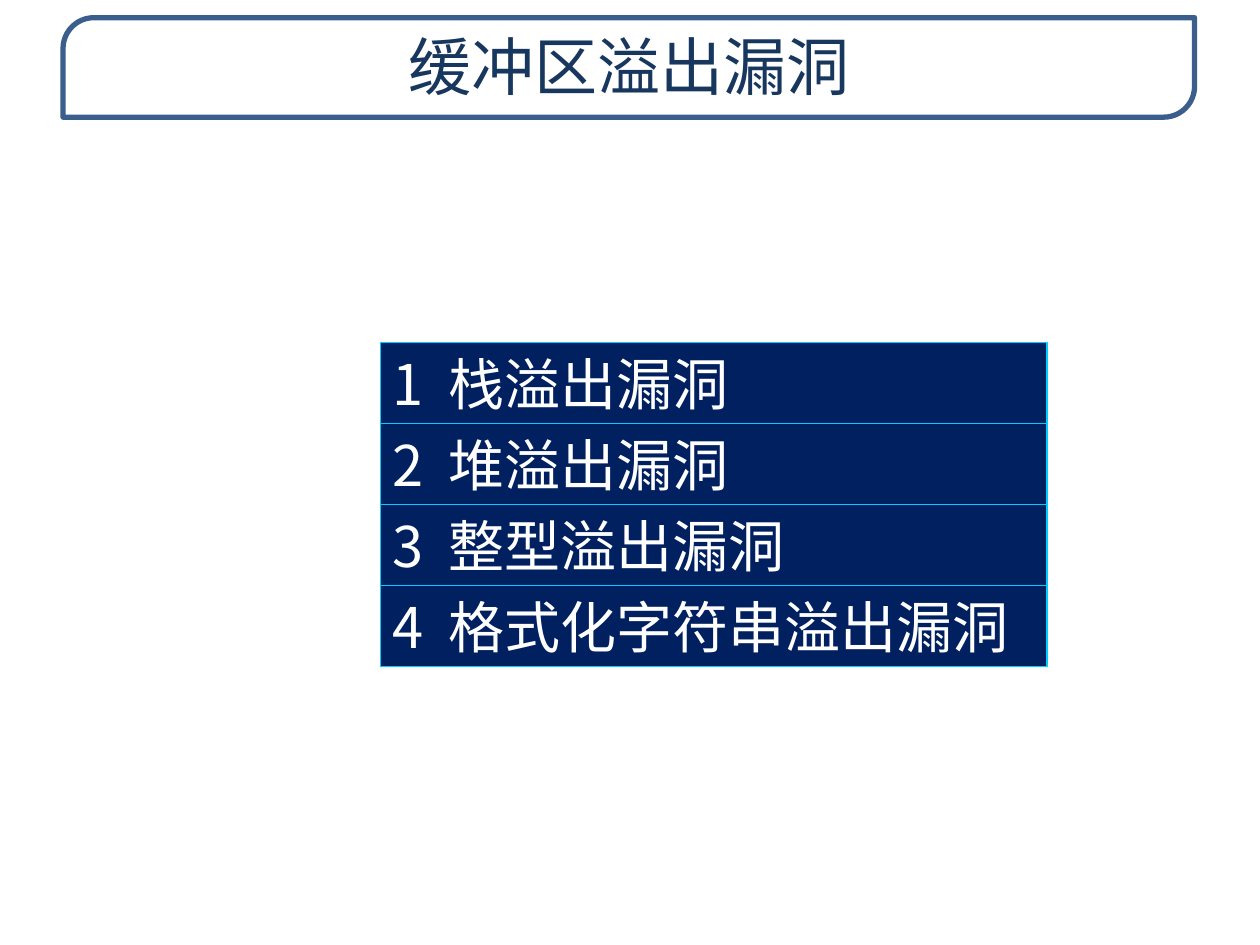
from lxml import etree
from pptx import Presentation
from pptx.dml.color import RGBColor
from pptx.enum.shapes import MSO_SHAPE
from pptx.enum.text import MSO_ANCHOR, PP_ALIGN
from pptx.oxml.ns import qn
from pptx.util import Pt

BOX = MSO_SHAPE.RECTANGLE
ROUND = MSO_SHAPE.ROUND_2_DIAG_RECTANGLE
MIDDLE = MSO_ANCHOR.MIDDLE
LEFT, CENTER = PP_ALIGN.LEFT, PP_ALIGN.CENTER
WHITE = RGBColor(0xFF, 0xFF, 0xFF)
NAVY = RGBColor(0x00, 0x20, 0x60)
CYAN = RGBColor(0x00, 0xCC, 0xFF)
STEEL = RGBColor(0x3A, 0x5F, 0x8C)
INK = RGBColor(0x17, 0x37, 0x5E)
FONT = "Noto Sans CJK SC"
TOPICS = ["栈溢出漏洞", "堆溢出漏洞", "整型溢出漏洞", "格式化字符串溢出漏洞"]
ROW_TOP, ROW_STEP = 195.8, 46.3


def add_panel(slide, kind, area, fill, edge, width):
    """Add a filled and outlined shape without a shadow."""
    panel = slide.shapes.add_shape(kind, *map(Pt, area))
    panel.shadow.inherit = False
    panel.fill.solid()
    panel.fill.fore_color.rgb = fill
    panel.line.color.rgb = edge
    panel.line.width = Pt(width)
    return panel


def set_text(shape, text, size, color, align):
    """Write one line of text, centred vertically, in the slide font."""
    frame = shape.text_frame
    frame.text = text
    frame.word_wrap = True
    frame.vertical_anchor = MIDDLE
    frame.margin_top = frame.margin_bottom = 0
    line = frame.paragraphs[0]
    line.alignment = align
    for run in line.runs:
        run.font.name = FONT
        run.font.size = Pt(size)
        run.font.color.rgb = color
        latin = run.font._element.find(qn("a:latin"))
        east = etree.Element(qn("a:ea"), typeface=FONT)
        latin.addnext(east)


def add_title(slide, text):
    """Set the title over its translucent rounded frame."""
    frame = add_panel(slide, ROUND, (36, 10.1, 646.6, 56.9), WHITE, STEEL, 3)
    frame.adjustments[0] = 0.31
    frame.adjustments[1] = 0
    color = frame.fill._xPr.find(qn("a:solidFill"))[0]
    etree.SubElement(color, qn("a:alpha"), val="85000")
    title = slide.shapes.title
    title.left, title.top = Pt(36.7), Pt(10.1)
    title.width, title.height = Pt(645.8), Pt(54.7)
    set_text(title, text, 36, INK, CENTER)
    title.element.addprevious(frame.element)


def add_topic(slide, index, topic):
    """Add a numbered topic row with a tab after its number."""
    area = (217.4, ROW_TOP + index * ROW_STEP, 380.9, ROW_STEP)
    row = add_panel(slide, BOX, area, NAVY, CYAN, 0.75)
    set_text(row, f"{index + 1}\t{topic}", 32, WHITE, LEFT)
    props = row.text_frame.paragraphs[0]._p.get_or_add_pPr()
    tabs = etree.SubElement(props, qn("a:tabLst"))
    etree.SubElement(tabs, qn("a:tab"), pos=str(Pt(32)), algn="l")


def main():
    """Build and save the slide."""
    deck = Presentation()
    deck.slide_width, deck.slide_height = Pt(720), Pt(540)
    slide = deck.slides.add_slide(deck.slide_layouts[5])
    add_title(slide, "缓冲区溢出漏洞")
    for index, topic in enumerate(TOPICS):
        add_topic(slide, index, topic)
    deck.save("out.pptx")


if __name__ == "__main__":
    main()
